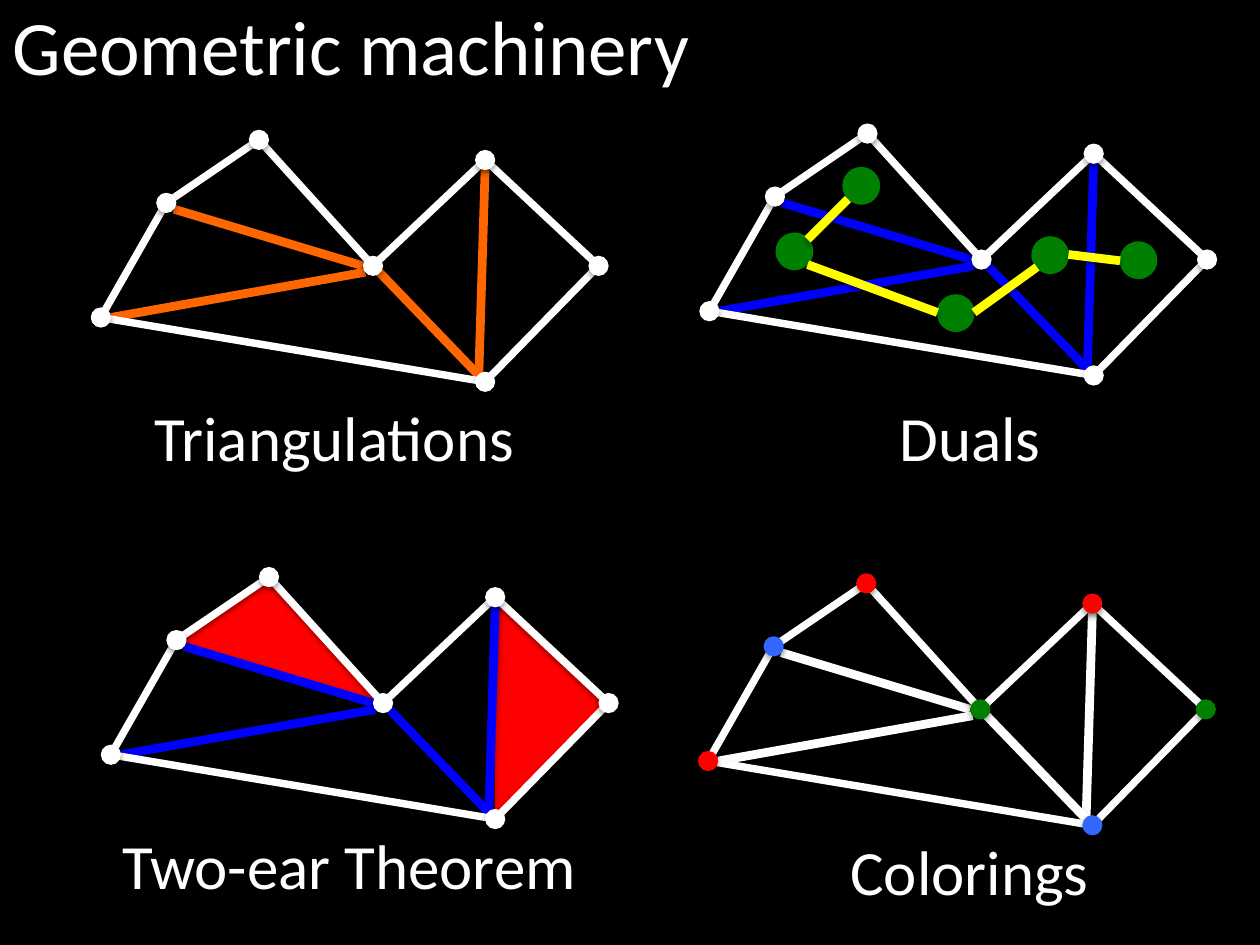
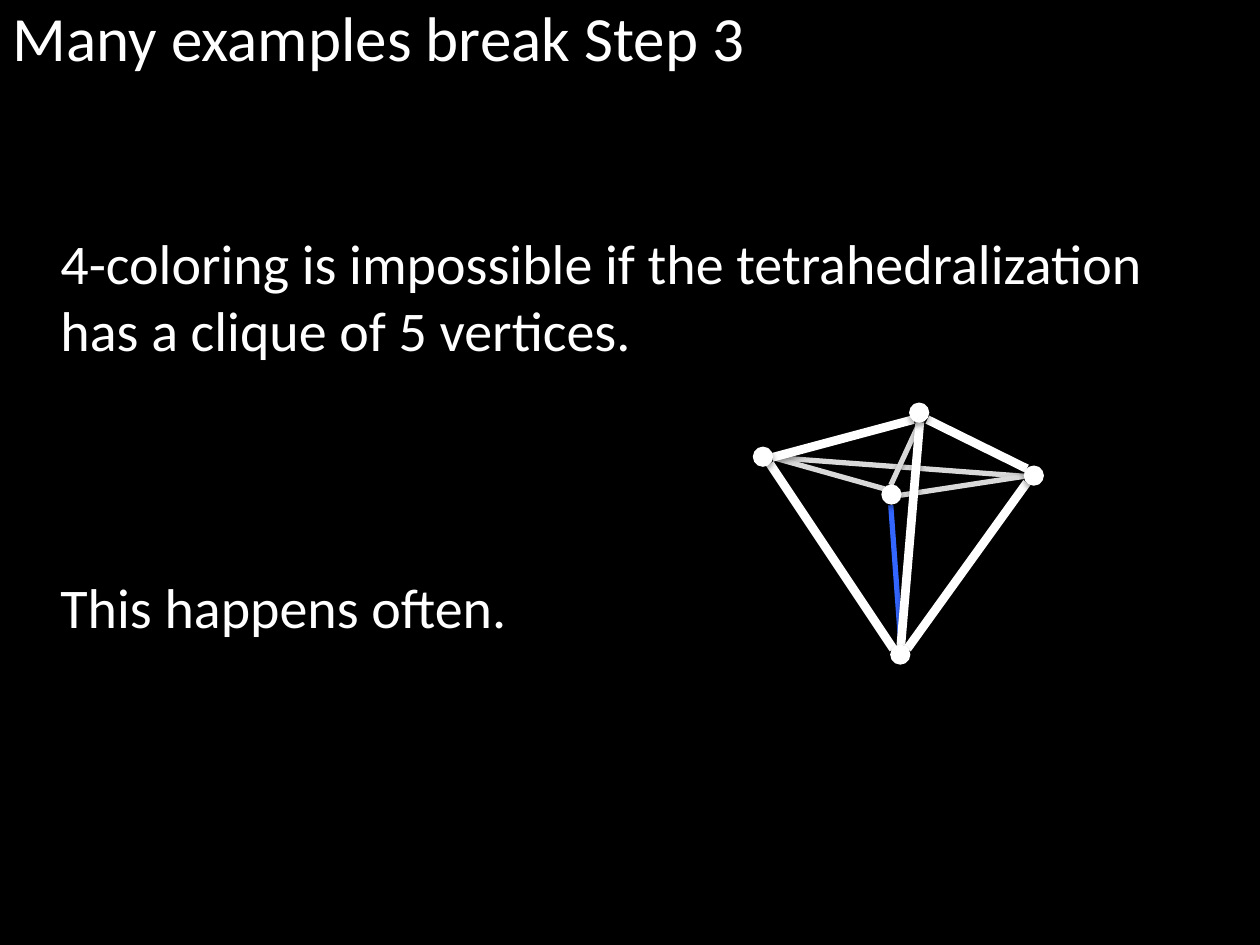
from pptx import Presentation
from pptx import util as u
from pptx.dml.color import RGBColor
from pptx.enum import shapes as es, text as et

BLACK = RGBColor(0x00, 0x00, 0x00)
WHITE = RGBColor(0xFF, 0xFF, 0xFF)
ORANGE = RGBColor(0xFF, 0x66, 0x00)
BLUE = RGBColor(0x00, 0x00, 0xFF)
SKY = RGBColor(0x33, 0x66, 0xFF)
YELLOW = RGBColor(0xFF, 0xFF, 0x00)
GREEN = RGBColor(0x00, 0x80, 0x00)
RED = RGBColor(0xFF, 0x00, 0x00)
GREY = RGBColor(0xD9, 0xD9, 0xD9)

FONT = "Calibri"
CELL = u.Inches(10) // 100  # the slide is a grid of 100 columns by 75 rows
DOT, DUAL_DOT = 1.5, 2.9    # diameters in cells

# Polygon corners in order, in cells from the top left of its box
CORNERS = {
    "west": (0, 14.1), "shoulder": (5.2, 5), "peak": (12.55, 0),
    "notch": (21.6, 10), "top": (30.5, 1.6), "east": (39.5, 10),
    "bottom": (30.5, 19.2),
}
DIAGONALS = [((5.8, 5.5), (20.8, 10)), ((0.8, 14.1), (21, 10.5)),
             ((30, 18.7), (30.5, 2.3)), ((30, 18.7), (22.1, 10.5))]
EARS = [((26.1, 5.8, 17.8, 9), 90, 0.48), ((6, 1.2, 17.8, 6.7), 17.9, 0.28)]
DUAL_NODES = [(12.05, 4.15), (6.75, 9.35), (19.55, 14.25), (27.05, 9.65),
              (34.05, 10.05)]
DUAL_EDGES = [((11, 5.2), (7.8, 8.4)), ((18.1, 14.2), (7.8, 10.4)),
              ((26, 10.6), (21, 14.2)), ((28.5, 9.6), (32.6, 10.1))]
THREE_COLORS = {"west": RED, "shoulder": SKY, "peak": RED, "notch": GREEN,
                "top": RED, "east": GREEN, "bottom": SKY}

CLIQUE_DOTS = [(0.75, 4.25), (11.65, 19.95), (13.15, 0.75), (22.25, 5.75),
               (10.95, 7.25)]
CLIQUE_EDGES = [
    (SKY, 3, [((10.9, 8.1), (11.7, 19.2))]),
    (GREY, 3, [((21.5, 5.8), (1.5, 4.3)), ((21.5, 5.8), (11.7, 7.3)),
               ((13.2, 1.5), (10.9, 6.5)), ((10.4, 6.8), (1.5, 4.3))]),
    (WHITE, 5, [((13.2, 1.5), (11.7, 19.2)), ((12.7, 1.3), (1.5, 4.3)),
                ((11.1, 19.5), (1.3, 4.8)), ((21.7, 6.3), (12.2, 19.5)),
                ((13.8, 1.3), (21.7, 5.2))]),
]


def cells(*values):
    return [u.Emu(round(v * CELL)) for v in values]


def add_edges(shapes, box, edges, color, width):
    left, top = box
    for (x1, y1), (x2, y2) in edges:
        line = shapes.add_connector(
            es.MSO_CONNECTOR.STRAIGHT,
            *cells(left + x1, top + y1, left + x2, top + y2)).line
        line.color.rgb = color
        line.width = u.Pt(width)


def add_solid(shapes, kind, box, x, y, w, h, color):
    """Add a one-colour shape; it keeps the theme's soft shadow."""
    sp = shapes.add_shape(kind, *cells(box[0] + x, box[1] + y, w, h))
    sp.fill.solid()
    sp.fill.fore_color.rgb = sp.line.color.rgb = color
    sp.line.width = u.Pt(0.75)
    return sp


def add_dot(shapes, box, center, color=WHITE, size=DOT):
    x, y = (c - size / 2 for c in center)
    add_solid(shapes, es.MSO_SHAPE.OVAL, box, x, y, size, size, color)


def write(sp, place, size, *lines):
    """Place a text box or placeholder and fill it, one paragraph a line."""
    sp.left, sp.top, sp.width, sp.height = cells(*place)
    tf = sp.text_frame
    tf.text = "\n".join(lines)
    frame = {"word_wrap": True, "vertical_anchor": et.MSO_ANCHOR.TOP,
             "auto_size": et.MSO_AUTO_SIZE.SHAPE_TO_FIT_TEXT}
    for name, value in frame.items():
        setattr(tf, name, value)
    for p in tf.paragraphs:
        p.alignment = et.PP_ALIGN.LEFT
        p.space_before = u.Pt(0)
        pPr = p._p.get_or_add_pPr()
        pPr.set("marL", "0")
        pPr.set("indent", "0")
        pPr.append(pPr.makeelement(
            "{http://schemas.openxmlformats.org/drawingml/2006/main}buNone", {}))
        for name, value in {"name": FONT, "size": u.Pt(size)}.items():
            setattr(p.runs[0].font, name, value)
        p.runs[0].font.color.rgb = WHITE


def add_titled_slide(prs, layout, title, size, height):
    s = prs.slides.add_slide(prs.slide_layouts[layout])
    write(s.shapes.title, (0, -0.6, 93.1, height), size, title)
    return s


def polygon_panel(s, box, caption, caption_place, diagonal_color,
                  dot_colors=None, ears=(), dual=False):
    """Draw the triangulated polygon, with its caption, from the box's corner."""
    shapes = s.shapes
    for place, rotation, apex in ears:
        ear = add_solid(shapes, es.MSO_SHAPE.ISOSCELES_TRIANGLE, box, *place, RED)
        ear.rotation = rotation
        ear.adjustments[0] = apex
    add_edges(shapes, box, DIAGONALS, diagonal_color, 5)
    points = list(CORNERS.values())
    add_edges(shapes, box, zip(points, points[1:] + points[:1]), WHITE, 4.25)
    for name, point in CORNERS.items():
        add_dot(shapes, box, point, (dot_colors or {}).get(name, WHITE))
    if dual:
        for node in DUAL_NODES:
            add_dot(shapes, box, node, GREEN, DUAL_DOT)
        add_edges(shapes, box, DUAL_EDGES, YELLOW, 5)
    x, y, w = caption_place
    write(shapes.add_textbox(0, 0, 0, 0), (box[0] + x, box[1] + y, w, 7.1),
          36, caption)


def clique_figure(s, box):
    shapes = s.shapes.add_group_shape().shapes
    for color, width, edges in CLIQUE_EDGES:
        add_edges(shapes, box, edges, color, width)
    for center in CLIQUE_DOTS:
        add_dot(shapes, box, center)


def machinery_slide(prs):
    s = add_titled_slide(prs, 5, "Geometric machinery", 44, 8.4)
    polygon_panel(s, (8, 11.1), "Triangulations", (3.3, 20, 31.6), ORANGE)
    polygon_panel(s, (56.3, 10.6), "Duals", (14.1, 20.5, 31.6), BLUE, dual=True)
    polygon_panel(s, (8.8, 45.8), "Two-ear Theorem", (-0.1, 19.3, 40.2), BLUE,
                  ears=EARS)
    polygon_panel(s, (56.2, 46.3), "Colorings", (10.3, 19.3, 31.6), WHITE,
                  dot_colors=THREE_COLORS)


def clique_slide(prs):
    s = add_titled_slide(prs, 3, "Many examples break Step 3", 36, 7.1)
    write(s.placeholders[1], (3.8, 17.6, 90.9, 11.8), 32,
          "4-coloring is impossible if the tetrahedralization",
          "has a clique of 5 vertices.")
    clique_figure(s, (59.8, 32))
    write(s.placeholders[2], (3.8, 44.9, 61.3, 6.4), 32, "This happens often.")


def main():
    prs = Presentation()
    prs.slide_width, prs.slide_height = cells(100, 75)
    fill = prs.slide_master.background.fill
    fill.solid()
    fill.fore_color.rgb = BLACK
    machinery_slide(prs)
    clique_slide(prs)
    prs.save("out.pptx")


if __name__ == "__main__":
    main()
